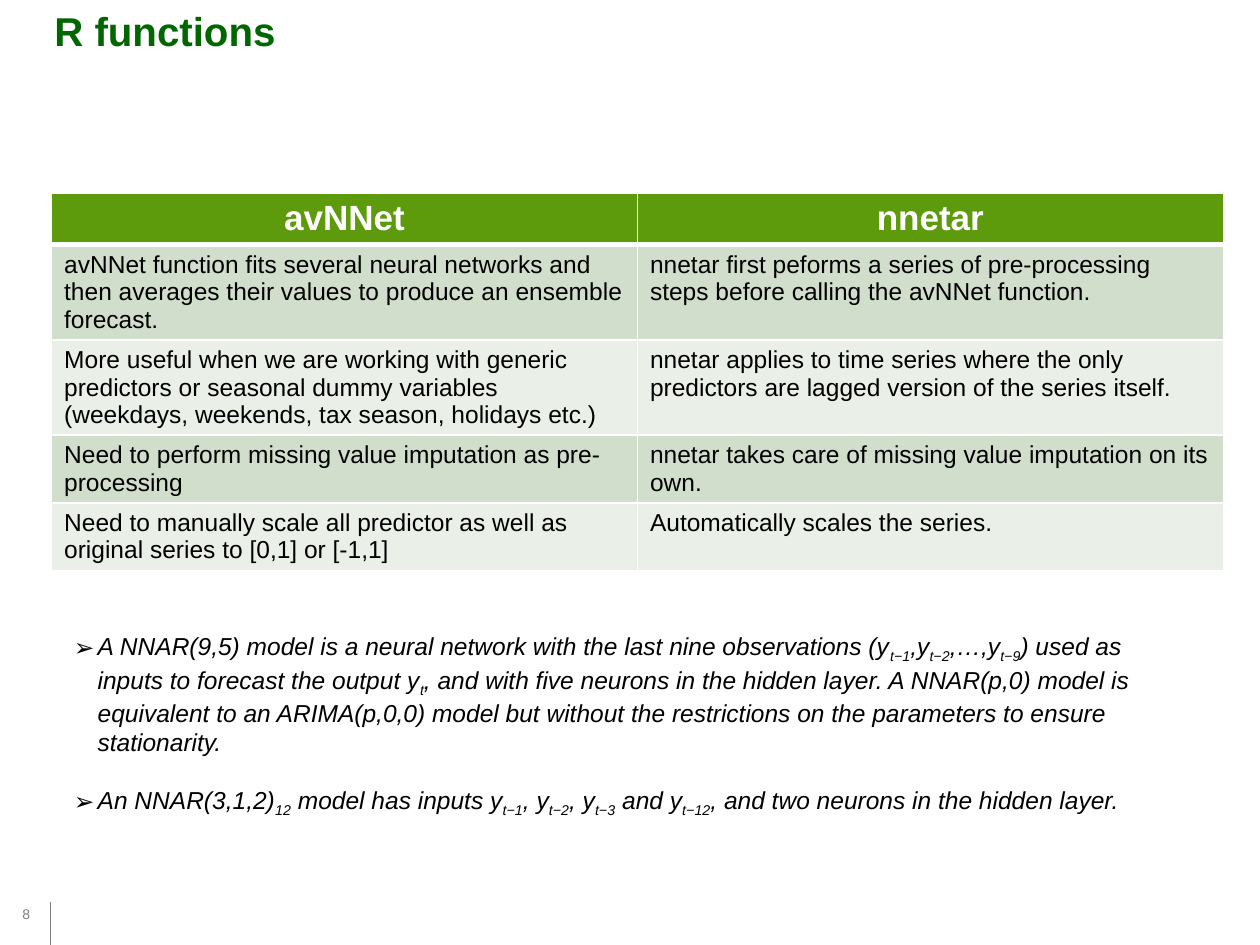
import pptx
import pptx.dml.color
import pptx.enum.shapes
import pptx.enum.text
import pptx.oxml.ns
import pptx.util
from lxml import etree
from pptx.util import Cm

WHITE = pptx.dml.color.RGBColor(0xFF, 0xFF, 0xFF)
BLACK = pptx.dml.color.RGBColor(0, 0, 0)
GRAY = pptx.dml.color.RGBColor(0x80, 0x80, 0x80)
DARK_GREEN = pptx.dml.color.RGBColor(0, 0x66, 0)
HEADER_GREEN = pptx.dml.color.RGBColor(0x5D, 0x9A, 0x0C)
BAND_DARK = pptx.dml.color.RGBColor(0xD2, 0xDE, 0xCC)
BAND_LIGHT = pptx.dml.color.RGBColor(0xEA, 0xEF, 0xE7)

PP_ALIGN = pptx.enum.text.PP_ALIGN
MSO_ANCHOR = pptx.enum.text.MSO_ANCHOR
qn = pptx.oxml.ns.qn


def set_font(paragraph, size, color, bold=False, italic=False):
    font = paragraph.font
    font.name = "Arial"
    font.size = pptx.util.Pt(size)
    font.bold = bold
    font.italic = italic
    font.color.rgb = color


def add_border(cell, side, width):
    line = etree.SubElement(cell._tc.get_or_add_tcPr(), qn("a:ln" + side),
                            w=str(pptx.util.Pt(width)))
    fill = etree.SubElement(line, qn("a:solidFill"))
    etree.SubElement(fill, qn("a:srgbClr"), val=str(WHITE))


presentation = pptx.Presentation()
presentation.slide_width = Cm(25.4)
presentation.slide_height = Cm(19.05)
slide = presentation.slides.add_slide(presentation.slide_layouts[5])

# Title
title = slide.shapes.title
title.left, title.top, title.width, title.height = Cm(0.84), Cm(0), Cm(23.7), Cm(2.74)
title.text_frame.text = "R functions"
title.text_frame.auto_size = pptx.enum.text.MSO_AUTO_SIZE.NONE
title.text_frame.vertical_anchor = MSO_ANCHOR.TOP
title.text_frame.paragraphs[0].alignment = PP_ALIGN.LEFT
set_font(title.text_frame.paragraphs[0], 23, DARK_GREEN, bold=True)

# Comparison table
rows = [
    ("avNNet", "nnetar"),
    ("avNNet function fits several neural networks and then averages their values "
     "to produce an ensemble forecast.",
     "nnetar first peforms a series of pre-processing steps before calling the "
     "avNNet function."),
    ("More useful when we are working with generic predictors or seasonal dummy "
     "variables (weekdays, weekends, tax season, holidays etc.)",
     "nnetar applies to time series where the only predictors are lagged version "
     "of the series itself."),
    ("Need to perform missing value imputation as pre-processing",
     "nnetar takes care of missing value imputation on its own."),
    ("Need to manually scale all predictor as well as original series to [0,1] or [-1,1]",
     "Automatically scales the series."),
]
row_heights = [1.03, 1.92, 1.92, 1.36, 1.36]
table = slide.shapes.add_table(len(rows), 2, Cm(1.04), Cm(3.89), Cm(23.62),
                               Cm(sum(row_heights))).table
for column in table.columns:
    column.width = Cm(11.81)
for row_index, texts in enumerate(rows):
    header = row_index == 0
    table.rows[row_index].height = Cm(row_heights[row_index])
    for column_index, text in enumerate(texts):
        cell = table.cell(row_index, column_index)
        add_border(cell, "L", 1)
        add_border(cell, "R", 1)
        add_border(cell, "T", 3 if row_index == 1 else 1)
        add_border(cell, "B", 3 if header else 1)
        cell.fill.solid()
        band = BAND_DARK if row_index % 2 else BAND_LIGHT
        cell.fill.fore_color.rgb = HEADER_GREEN if header else band
        cell.text = text
        paragraph = cell.text_frame.paragraphs[0]
        paragraph.alignment = PP_ALIGN.CENTER if header else PP_ALIGN.LEFT
        set_font(paragraph, 20 if header else 14, WHITE if header else BLACK, bold=header)

# Notes on NNAR models: every second piece is a subscript
notes = [
    ["A NNAR(9,5) model is a neural network with the last nine observations (y", "t−1",
     ",y", "t−2", ",…,y", "t−9", ") used as inputs to forecast the output y", "t",
     ", and with five neurons in the hidden layer. A NNAR(p,0) model is equivalent to "
     "an ARIMA(p,0,0) model but without the restrictions on the parameters to ensure "
     "stationarity."],
    ["An NNAR(3,1,2)", "12", " model has inputs y", "t−1", ", y", "t−2", ", y", "t−3",
     " and y", "t−12", ", and two neurons in the hidden layer."],
]
text_frame = slide.shapes.add_textbox(Cm(1.24), Cm(12.6), Cm(22.89), Cm(3.84)).text_frame
text_frame.word_wrap = True
for note_index, pieces in enumerate(notes):
    paragraph = text_frame.paragraphs[0]
    if note_index:
        paragraph = text_frame.add_paragraph()
        paragraph.space_before = pptx.util.Pt(16)
    properties = paragraph._p.get_or_add_pPr()
    properties.set("marL", str(Cm(0.48)))
    properties.set("indent", str(Cm(-0.48)))
    etree.SubElement(properties, qn("a:buFont"), typeface="Wingdings 3")
    etree.SubElement(properties, qn("a:buChar"), char="➢")
    properties.find(qn("a:buFont")).set("typeface", "Arial")
    set_font(paragraph, 14, BLACK, italic=True)
    for piece_index, piece in enumerate(pieces):
        run = paragraph.add_run()
        run.text = piece
        if piece_index % 2:
            run._r.get_or_add_rPr().set("baseline", "-25000")

# Slide number with its rule
text_frame = slide.shapes.add_textbox(Cm(0.2), Cm(17.4), Cm(0.9), Cm(1.32)).text_frame
text_frame.word_wrap = True
text_frame.vertical_anchor = MSO_ANCHOR.BOTTOM
text_frame.text = "8"
set_font(text_frame.paragraphs[0], 8, GRAY)

rule = slide.shapes.add_connector(pptx.enum.shapes.MSO_CONNECTOR.STRAIGHT,
                                  Cm(1.02), Cm(19.05), Cm(1.02), Cm(18.19))
rule.line.color.rgb = GRAY
rule.line.width = pptx.util.Pt(0.5)
etree.SubElement(rule._element.spPr, qn("a:effectLst"))

presentation.save("out.pptx")
